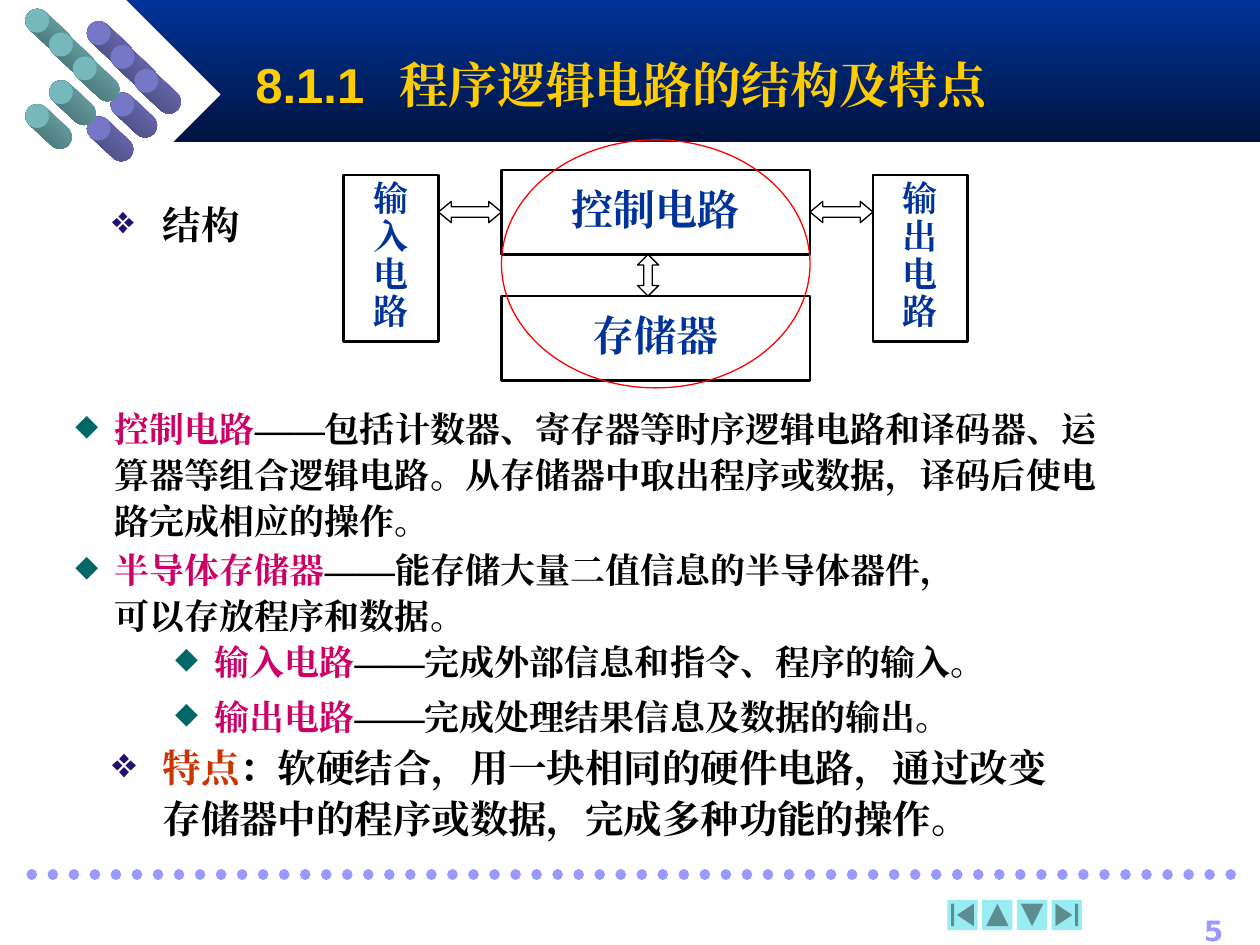
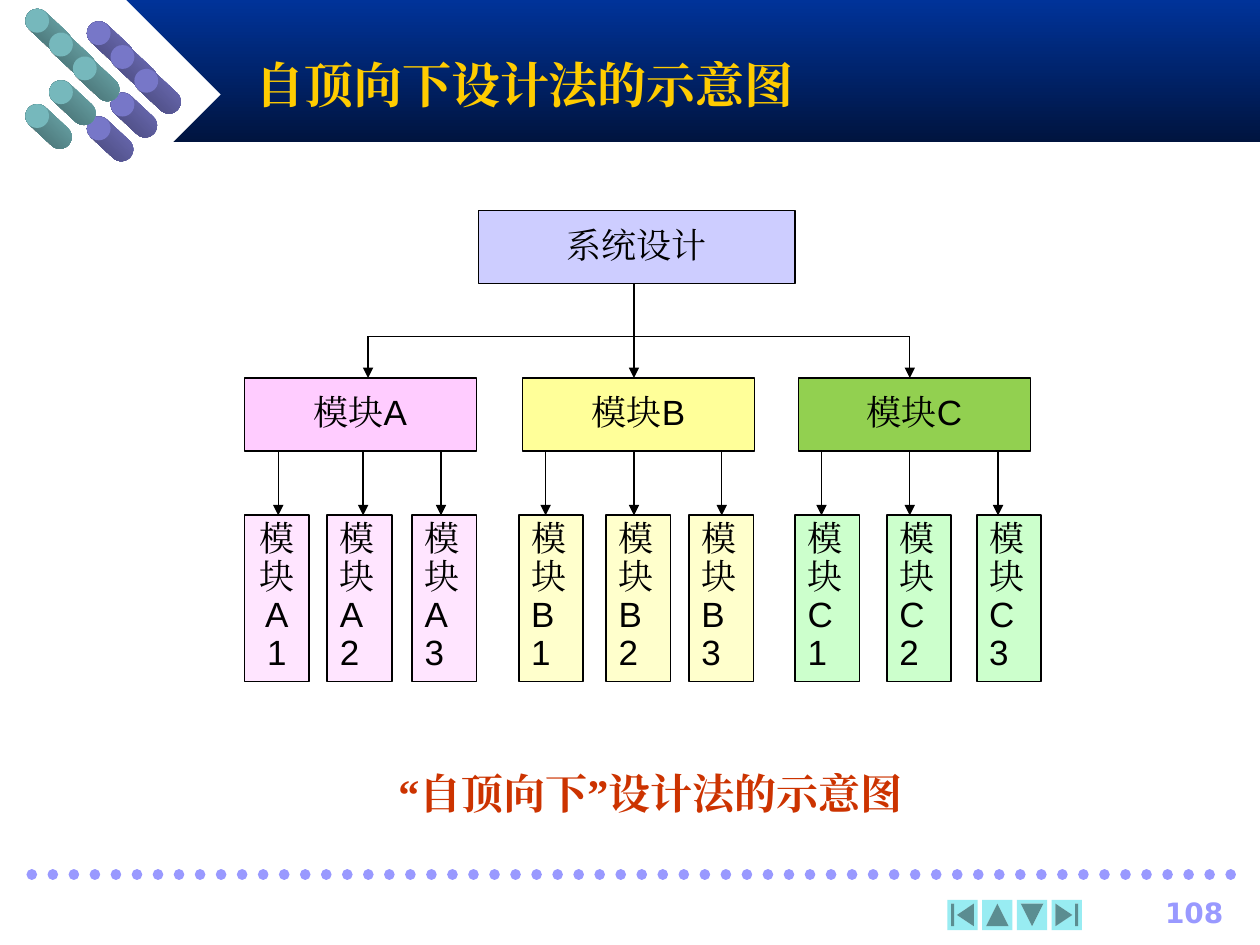
from dataclasses import dataclass
from typing import Any, NamedTuple, Optional

from lxml import etree
from pptx import Presentation
from pptx import util as u
from pptx.dml.color import RGBColor
from pptx.enum import dml, shapes, text
from pptx.oxml.ns import qn

# Shared colours
BLACK = RGBColor(0x00, 0x00, 0x00)
WHITE = RGBColor(0xFF, 0xFF, 0xFF)
BLUE = RGBColor(0x00, 0x33, 0x99)
NAVY = RGBColor(0x00, 0x14, 0x3F)
GOLD = RGBColor(0xFF, 0xCC, 0x00)
LILAC = RGBColor(0x99, 0x99, 0xFF)
AQUA = RGBColor(0x98, 0xEC, 0xF2)
PURPLE_FACE = RGBColor(0x77, 0x77, 0xC8)
PURPLE_SHADE = RGBColor(0x40, 0x40, 0x6C)
TEAL_FACE = RGBColor(0x76, 0xB8, 0xBC)
TEAL_SHADE = RGBColor(0x3C, 0x5E, 0x60)
INDIGO = RGBColor(0x1E, 0x11, 0x6F)
GREEN = RGBColor(0x00, 0x66, 0x66)
MAGENTA = RGBColor(0xCC, 0x00, 0x66)
RUST = RGBColor(0xCC, 0x33, 0x00)
RED = RGBColor(0xFF, 0x00, 0x00)
ROOT_FILL = RGBColor(0xCD, 0xCD, 0xFF)

KIND = shapes.MSO_SHAPE
ALIGN = text.PP_ALIGN
MIDDLE = text.MSO_ANCHOR.MIDDLE
TOP = text.MSO_ANCHOR.TOP


class Box(NamedTuple):
    """Left, top, width and height in centimetres."""
    left: float
    top: float
    width: float
    height: float

    def lengths(self) -> list[u.Length]:
        return [u.Cm(value) for value in self]


@dataclass(frozen=True)
class Style:
    size: float
    color: RGBColor = BLACK
    bold: bool = True
    name: str = "Arial"
    align: Optional[Any] = None
    spacing: float = 1.0


@dataclass(frozen=True)
class Bullet:
    mark: str
    color: RGBColor
    percent: int
    margin: float
    hang: float


@dataclass(frozen=True)
class Note:
    box: Box
    term: str
    explanation: str
    style: Style
    bullet: Bullet


@dataclass(frozen=True)
class Module:
    letter: str
    left: float
    drop: float
    fill: RGBColor
    leaf_fill: RGBColor
    leaf_lefts: tuple[float, ...]
    arrows: tuple[float, ...]


def set_format(target: Any, values: dict[str, Any]) -> None:
    for attribute, value in values.items():
        setattr(target, attribute, value)


def add_run(paragraph, words: str, style: Style, color: RGBColor) -> None:
    run = paragraph.add_run()
    run.text = words
    set_format(run.font, {"size": u.Pt(style.size), "bold": style.bold, "name": style.name})
    run.font.color.rgb = color
    etree.SubElement(run.font._element, qn("a:ea"), typeface="Times New Roman")


def write(shape, runs: list[tuple[str, RGBColor]], style: Style, anchor=TOP,
          wrap: bool = True, bullet: Optional[Bullet] = None, tab: float = 0) -> None:
    frame = shape.text_frame
    set_format(frame, {"word_wrap": wrap, "vertical_anchor": anchor})
    paragraph = frame.paragraphs[0]
    properties = paragraph._p.get_or_add_pPr()
    if bullet:
        properties.set("marL", str(u.Cm(bullet.margin)))
        properties.set("indent", str(-u.Cm(bullet.hang)))
        color = etree.SubElement(properties, qn("a:buClr"))
        etree.SubElement(color, qn("a:srgbClr"), val=str(bullet.color))
        etree.SubElement(properties, qn("a:buSzPct"), val=str(bullet.percent * 1000))
        etree.SubElement(properties, qn("a:buChar"), char=bullet.mark)
    if tab:
        tabs = etree.SubElement(properties, qn("a:tabLst"))
        etree.SubElement(tabs, qn("a:tab"), pos=str(u.Cm(tab)), algn="l")
    set_format(paragraph, {"alignment": style.align or ALIGN.LEFT, "line_spacing": style.spacing})
    for words, color in runs:
        add_run(paragraph, words, style, color)


def add_text(slide, box: Box, words: str, style: Style, **options) -> None:
    write(slide.shapes.add_textbox(*box.lengths()), [(words, style.color)], style, **options)


def add_figure(slide, kind, box: Box, fill: Optional[RGBColor] = None,
               line: Optional[RGBColor] = None, weight: float = 0.75, rotation: float = 0):
    shape = slide.shapes.add_shape(kind, *box.lengths())
    shape.shadow.inherit = False
    shape.rotation = rotation
    if fill is None:
        shape.fill.background()
    else:
        shape.fill.solid()
        shape.fill.fore_color.rgb = fill
    if line is None:
        shape.line.fill.background()
    else:
        shape.line.color.rgb = line
        shape.line.width = u.Pt(weight)
    return shape


def shade(shape, first: RGBColor, last: RGBColor) -> None:
    shape.fill.gradient()
    shape.fill.gradient_angle = 270
    for stop, color, position in zip(shape.fill.gradient_stops, (first, last), (0, 1)):
        stop.color.rgb = color
        stop.position = position


def add_line(slide, start: tuple[float, float], end: tuple[float, float],
             color: RGBColor = BLACK, weight: float = 0.75, arrow: bool = False):
    ends = [u.Cm(value) for value in (*start, *end)]
    connector = slide.shapes.add_connector(shapes.MSO_CONNECTOR.STRAIGHT, *ends)
    connector.line.color.rgb = color
    connector.line.width = u.Pt(weight)
    properties = connector._element.spPr
    if arrow:
        etree.SubElement(properties.find(qn("a:ln")), qn("a:tailEnd"), type="triangle")
    etree.SubElement(properties, qn("a:effectLst"))
    return connector


# Parts that every slide shares
TITLE = Style(28, GOLD)
PAGE_NUMBER = Style(16, LILAC, name="DejaVu Sans", align=ALIGN.RIGHT)
BUTTONS = (
    (KIND.ACTION_BUTTON_BEGINNING, 0),
    (KIND.ACTION_BUTTON_BACK_OR_PREVIOUS, 90),
    (KIND.ACTION_BUTTON_FORWARD_OR_NEXT, 90),
    (KIND.ACTION_BUTTON_END, 0),
)


def add_rods(slide, left: float, top: float, face: RGBColor, dark: RGBColor) -> None:
    diameter, length = 0.48, 1.1
    for row, column in enumerate((0, 1, 2, 1, 0)):
        x, y = left + column * diameter, top + row * diameter
        body = Box(x + 0.23 - (length - diameter) / 2, y + 0.21, length, diameter)
        rod = add_figure(slide, KIND.ROUNDED_RECTANGLE, body, face, rotation=43)
        rod.adjustments[0] = 0.5
        shade(rod, face, dark)
        add_figure(slide, KIND.OVAL, Box(x, y, diameter, diameter), face)


def add_base(presentation, title: str, title_width: float, number: str, number_top: float):
    slide = presentation.slides.add_slide(presentation.slide_layouts[6])
    band = add_figure(slide, KIND.RECTANGLE, Box(2.54, 0, 22.86, 2.87), BLUE)
    shade(band, BLUE, NAVY)
    add_figure(slide, KIND.DIAMOND, Box(0.64, 0, 3.81, 3.81), WHITE)
    add_rods(slide, 1.75, 0.43, PURPLE_FACE, PURPLE_SHADE)
    add_rods(slide, 0.51, 0.18, TEAL_FACE, TEAL_SHADE)

    dots = add_line(slide, (0.64, 17.63), (24.97, 17.63), LILAC, 6)
    dots.line.dash_style = dml.MSO_LINE.ROUND_DOT
    dots._element.spPr.find(qn("a:ln")).set("cap", "rnd")
    for index, (kind, rotation) in enumerate(BUTTONS):
        add_figure(slide, kind, Box(19.1 + 0.7 * index, 18.14, 0.61, 0.61), AQUA,
                   rotation=rotation)
    add_text(slide, Box(22.5, number_top, 2.41, 0.84), number, PAGE_NUMBER)
    add_text(slide, Box(4.9, 0.84, title_width, 1.7), title, TITLE, anchor=MIDDLE, tab=2.9)
    return slide


# Structure slide
HEADING = Style(22, spacing=1.1)
WIDE_BLOCK = Style(24, BLUE, name="Times New Roman", align=ALIGN.CENTER, spacing=0.9)
TALL_BLOCK = Style(20, BLUE, name="Noto Sans CJK SC", align=ALIGN.CENTER, spacing=0.9)
LONG_NOTE = Style(20, MAGENTA, spacing=1.1)
SHORT_NOTE = Style(20, MAGENTA, spacing=1.2)
FEATURE = Style(22, RUST, spacing=1.1)
FLOWER = Bullet("❖", INDIGO, 100, 1.02, 1.02)
BIG_FLOWER = Bullet("❖", INDIGO, 110, 1.02, 1.02)
GEM = Bullet("◆", GREEN, 85, 2.06, 0.79)

NOTES = (
    Note(Box(0, 8, 22.78, 3.07), "控制电路",
         "——包括计数器、寄存器等时序逻辑电路和译码器、运算器等组合逻辑电路。"
         "从存储器中取出程序或数据，译码后使电路完成相应的操作。", LONG_NOTE, GEM),
    Note(Box(0, 10.85, 19.89, 2.13), "半导体存储器",
         "——能存储大量二值信息的半导体器件，可以存放程序和数据。", LONG_NOTE, GEM),
    Note(Box(2.01, 12.62, 19.89, 1.19), "输入电路",
         "——完成外部信息和指令、程序的输入。", SHORT_NOTE, GEM),
    Note(Box(2.01, 13.72, 19.89, 1.27), "输出电路",
         "——完成处理结果信息及数据的输出。", SHORT_NOTE, GEM),
    Note(Box(2.01, 14.78, 19.89, 2.31), "特点",
         "：软硬结合，用一块相同的硬件电路，通过改变存储器中的程序或数据，"
         "完成多种功能的操作。", FEATURE, BIG_FLOWER),
)


def build_structure(presentation) -> None:
    slide = add_base(presentation, "8.1.1\t程序逻辑电路的结构及特点", 17.81, "5", 18.29)
    add_text(slide, Box(2.01, 3.84, 4.5, 1.83), "结构", HEADING, bullet=FLOWER)

    # Circuit blocks
    for words, top in (("控制电路", 3.43), ("存储器", 5.97)):
        block = add_figure(slide, KIND.RECTANGLE, Box(10.11, top, 6.22, 1.7), None, BLACK, 1.5)
        write(block, [(words, BLUE)], WIDE_BLOCK, MIDDLE, wrap=False)
    for words, left in (("输入电路", 6.93), ("输出电路", 17.6)):
        block = add_figure(slide, KIND.RECTANGLE, Box(left, 3.53, 1.91, 3.35), None, BLACK, 1.5)
        write(block, [(words, BLUE)], TALL_BLOCK)

    # Two-way arrows between the blocks
    for kind, box, head in (
        (KIND.UP_DOWN_ARROW, Box(12.85, 5.13, 0.43, 0.84), 0.4),
        (KIND.LEFT_RIGHT_ARROW, Box(8.84, 4.06, 1.27, 0.43), 0.6),
        (KIND.LEFT_RIGHT_ARROW, Box(16.33, 4.06, 1.27, 0.43), 0.6),
    ):
        arrow = add_figure(slide, kind, box, None, BLACK)
        arrow.adjustments[0], arrow.adjustments[1] = 0.5, head

    for note in NOTES:
        shape = slide.shapes.add_textbox(*note.box.lengths())
        write(shape, [(note.term, note.style.color), (note.explanation, BLACK)],
              note.style, bullet=note.bullet)
    add_figure(slide, KIND.OVAL, Box(10.11, 2.82, 6.22, 5), None, RED)


# Top-down design slide
NODE = Style(20, bold=False, align=ALIGN.CENTER, spacing=0.9)
LEAF = Style(20, bold=False, align=ALIGN.JUSTIFY, spacing=0.9)
CAPTION = Style(24, RUST, align=ALIGN.CENTER, spacing=0.9)
ROOT = Box(9.65, 4.24, 6.38, 1.47)
BAR_TOP, MODULE_TOP, LEAF_TOP = 6.78, 7.62, 10.39
MODULES = (
    Module("A", 4.93, 7.42, RGBColor(0xFF, 0xCC, 0xFF), RGBColor(0xFF, 0xE5, 0xFF),
           (4.93, 6.6, 8.31), (5.61, 7.32, 8.89)),
    Module("B", 10.54, 12.78, RGBColor(0xFF, 0xFF, 0x99), RGBColor(0xFF, 0xFF, 0xCC),
           (10.46, 12.22, 13.89), (11, 12.78, 14.55)),
    Module("C", 16.1, 18.34, RGBColor(0x92, 0xD0, 0x50), RGBColor(0xCC, 0xFF, 0xCC),
           (16.03, 17.88, 19.69), (16.56, 18.34, 20.12)),
)


def add_node(slide, box: Box, words: str, fill: RGBColor) -> None:
    node = add_figure(slide, KIND.FLOWCHART_PROCESS, box, fill, BLACK)
    write(node, [(words, BLACK)], NODE, MIDDLE, wrap=False)


def build_top_down(presentation) -> None:
    slide = add_base(presentation, "自顶向下设计法的示意图", 19.28, "108", 17.93)
    add_node(slide, ROOT, "系统设计", ROOT_FILL)
    first, middle, last = (module.drop for module in MODULES)
    add_line(slide, (first, BAR_TOP), (last, BAR_TOP))
    add_line(slide, (middle, ROOT.top + ROOT.height), (middle, BAR_TOP))

    for module in MODULES:
        box = Box(module.left, MODULE_TOP, 4.67, ROOT.height)
        add_node(slide, box, f"模块{module.letter}", module.fill)
        add_line(slide, (module.drop, BAR_TOP), (module.drop, MODULE_TOP), arrow=True)
        for number, (left, x) in enumerate(zip(module.leaf_lefts, module.arrows), 1):
            leaf = add_figure(slide, KIND.RECTANGLE, Box(left, LEAF_TOP, 1.3, 3.35),
                              module.leaf_fill, BLACK, 1)
            name = f"模块{module.letter}{number}"
            write(leaf, [(name, BLACK)], NODE if name == "模块A1" else LEAF)
            add_line(slide, (x, box.top + box.height), (x, LEAF_TOP), arrow=True)

    add_text(slide, Box(5.44, 15.47, 15.34, 1.17), "“自顶向下”设计法的示意图", CAPTION)


def main() -> None:
    presentation = Presentation()
    set_format(presentation, {"slide_width": u.Cm(25.4), "slide_height": u.Cm(19.05)})
    build_structure(presentation)
    build_top_down(presentation)
    presentation.save("out.pptx")


if __name__ == "__main__":
    main()
